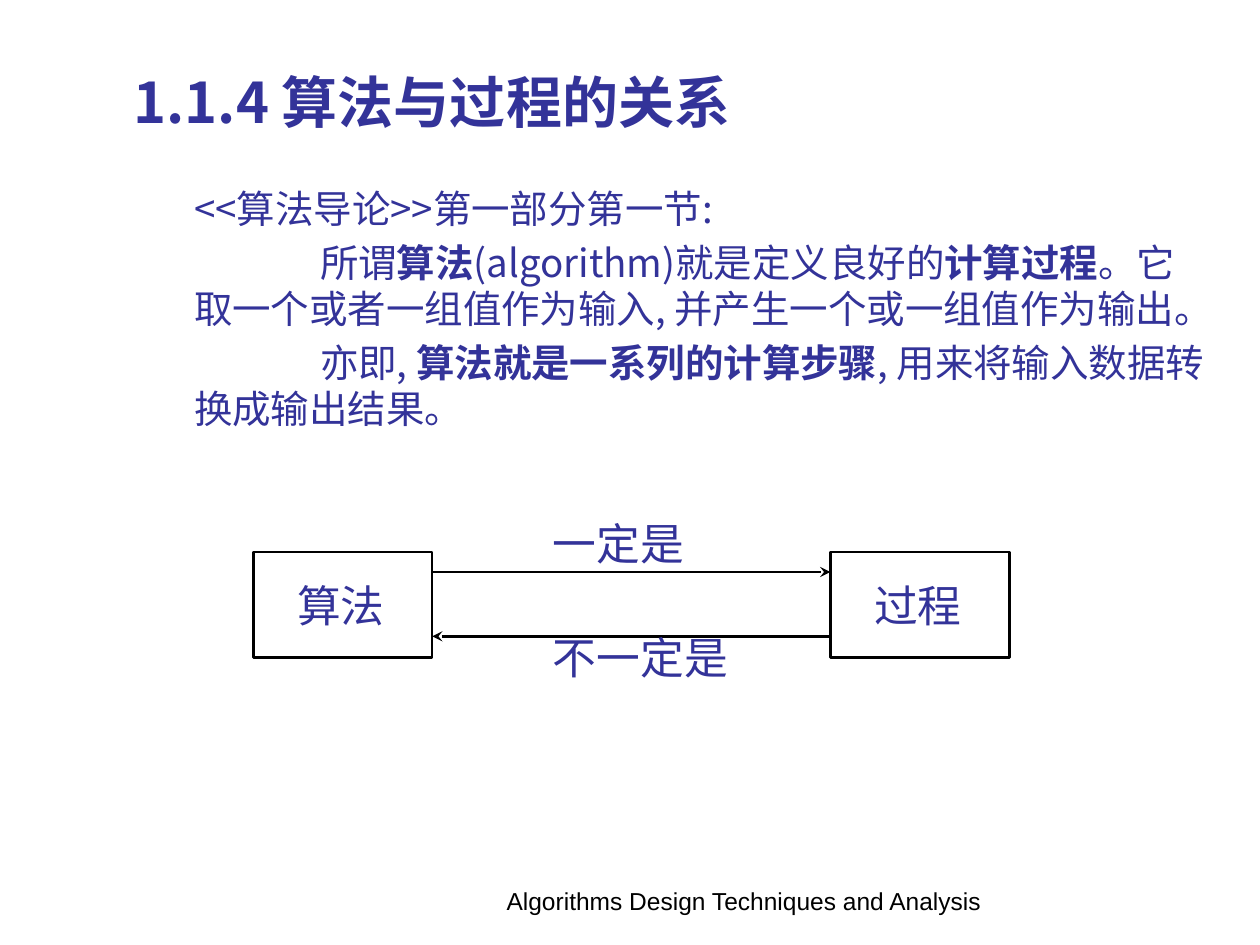
from lxml import etree
from pptx import Presentation
from pptx.dml.color import RGBColor
from pptx.enum import shapes, text
from pptx.oxml.ns import qn
from pptx.util import Inches, Pt

CJK = "Noto Sans CJK SC"
BLUE, BLACK = "333399", "000000"


def color(hex_value):
    return RGBColor.from_string(hex_value)


def place(shape, left, top, width, height):
    shape.left, shape.top = Inches(left), Inches(top)
    shape.width, shape.height = Inches(width), Inches(height)


def add_runs(paragraph, parts, size, bold=None):
    """Write the parts in blue; every second part is bold unless bold is given."""
    for i, part in enumerate(parts):
        run = paragraph.add_run()
        run.text = part
        if bold is None:
            run.font.bold = i % 2 == 1
        east_asian = etree.SubElement(run._r.get_or_add_rPr(), qn("a:ea"))
        east_asian.set("typeface", CJK)
    font = paragraph.font
    font.name, font.size, font.color.rgb = CJK, Pt(size), color(BLUE)
    if bold is not None:
        font.bold = bold


def fill_title(title, box):
    place(title, *box)
    title.text_frame.vertical_anchor = text.MSO_ANCHOR.MIDDLE
    heading = title.text_frame.paragraphs[0]
    heading.alignment = text.PP_ALIGN.LEFT
    add_runs(heading, ["1.1.4 算法与过程的关系"], 32, bold=True)


def fill_body(body, box):
    place(body, *box)
    frame = body.text_frame
    frame.auto_size = text.MSO_AUTO_SIZE.NONE
    passages = [
        (0, ["<<算法导论>>第一部分第一节:"]),
        (1, ["所谓", "算法", "(algorithm)就是定义良好的", "计算过程",
             "。它取一个或者一组值作为输入, 并产生一个或一组值作为输出。"]),
        (1, ["亦即, ", "算法就是一系列的计算步骤", ", 用来将输入数据转换成输出结果。"]),
    ]
    for i, (indent, parts) in enumerate(passages):
        passage = frame.add_paragraph() if i else frame.paragraphs[0]
        passage.level = 1
        passage.line_spacing = Pt(26.3)
        passage.space_before = Pt(4.4 if i else 0)
        properties = passage._p.get_or_add_pPr()
        properties.set("marL", str(Inches(0.5)))
        properties.set("indent", str(Inches(indent)))
        etree.SubElement(properties, qn("a:buNone"))
        add_runs(passage, parts, 22)


def add_label(slide, words, left, top, width):
    label = slide.shapes.add_textbox(Inches(left), Inches(top), Inches(width), Inches(0.52))
    label.text_frame.word_wrap = False
    line = label.text_frame.paragraphs[0]
    line.line_spacing = Pt(30)
    add_runs(line, [words], 25, bold=False)


def add_node(slide, words, left, top, width, height):
    node = slide.shapes.add_shape(shapes.MSO_SHAPE.RECTANGLE, Inches(left), Inches(top),
                                  Inches(width), Inches(height))
    node.shadow.inherit = False
    node.fill.background()
    node.line.color.rgb = color(BLACK)
    node.line.width = Pt(1.5)
    add_label(slide, words, left + 0.25, top + 0.16, 0.9)


def add_arrow(slide, start, end, y, arrow_end):
    arrow = slide.shapes.add_connector(shapes.MSO_CONNECTOR.STRAIGHT, Inches(start), Inches(y),
                                       Inches(end), Inches(y))
    arrow.line.color.rgb = color(BLACK)
    arrow.line.width = Pt(1.5)
    etree.SubElement(arrow.line._get_or_add_ln(), qn(arrow_end)).set("type", "stealth")
    etree.SubElement(arrow._element.spPr, qn("a:effectLst"))


def add_relation(slide, left, top, width, height):
    """Two nodes at the ends of the box, with an arrow each way between them."""
    node_width = 1.42
    start, end = left + node_width, left + width - node_width
    add_node(slide, "算法", left, top, node_width, height)
    add_node(slide, "过程", end, top, node_width, height)
    add_arrow(slide, start, end, top + 0.16, "a:tailEnd")
    add_label(slide, "一定是", start + 0.86, top - 0.33, 1.26)
    add_arrow(slide, start, end, top + 0.67, "a:headEnd")
    add_label(slide, "不一定是", start + 0.86, top + 0.58, 1.72)


def add_footer(slide, *box):
    footer = slide.shapes.add_textbox(*map(Inches, box))
    footer.text_frame.word_wrap = True
    course = footer.text_frame.paragraphs[0]
    course.text = "Algorithms Design Techniques and Analysis"
    course.alignment = text.PP_ALIGN.CENTER
    course.font.name, course.font.size = "Arial", Pt(14)
    course.font.color.rgb = color(BLACK)


def main():
    deck = Presentation()
    deck.slide_width, deck.slide_height = Inches(10), Inches(7.5)
    slide = deck.slides.add_slide(deck.slide_layouts[1])
    add_footer(slide, 3.82, 6.98, 4.17, 0.47)
    fill_body(slide.placeholders[1], (0.94, 1.42, 8.79, 2.26))
    fill_title(slide.shapes.title, (0.96, 0.3, 8.61, 1.01))
    add_relation(slide, 2.01, 4.38, 6, 0.84)
    deck.save("out.pptx")


if __name__ == "__main__":
    main()
